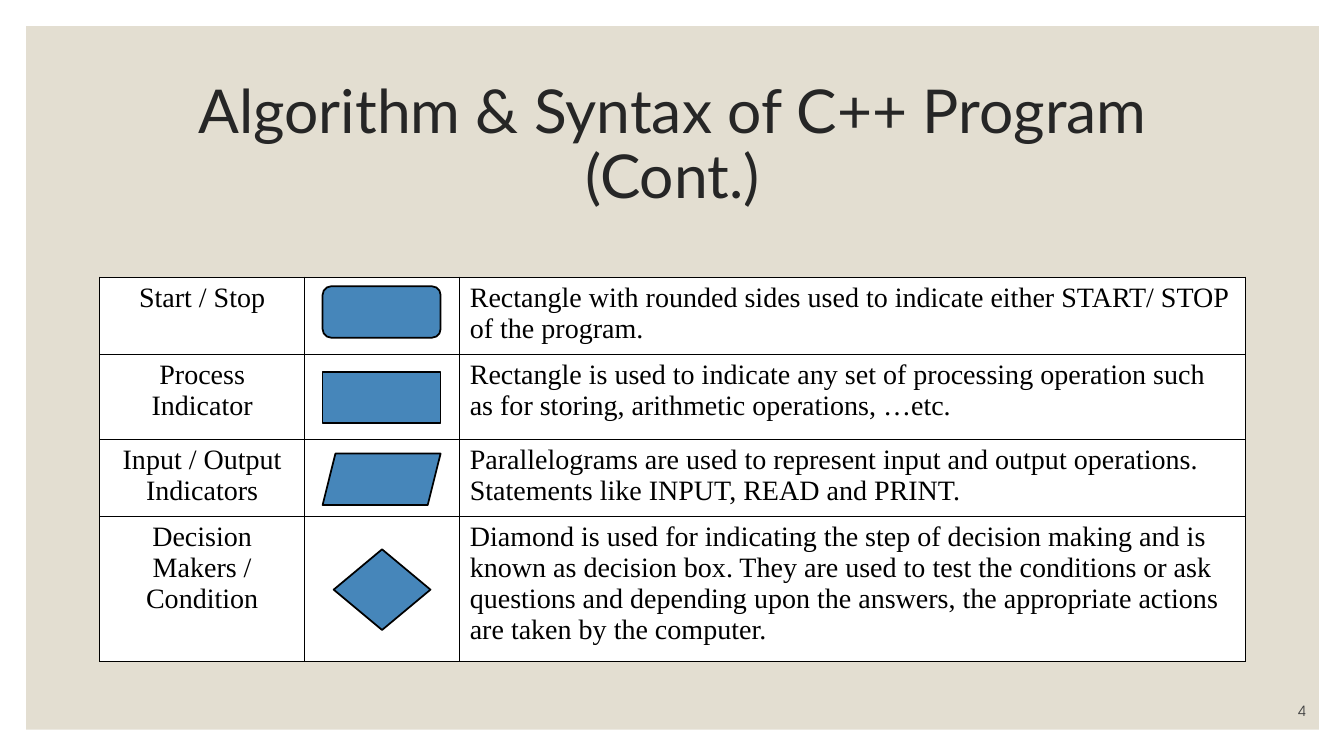
"""Build the slide that explains the flowchart symbols."""
from lxml import etree
from pptx import Presentation
from pptx.dml.color import RGBColor
from pptx.enum.shapes import MSO_SHAPE
from pptx.enum.text import MSO_ANCHOR, PP_ALIGN
from pptx.oxml.ns import qn
from pptx.util import Inches, Pt

LEFT, CENTER, RIGHT = PP_ALIGN.LEFT, PP_ALIGN.CENTER, PP_ALIGN.RIGHT
MIDDLE = MSO_ANCHOR.MIDDLE
RECT, ROUNDED = MSO_SHAPE.RECTANGLE, MSO_SHAPE.ROUNDED_RECTANGLE
PARALLELOGRAM, DIAMOND = MSO_SHAPE.PARALLELOGRAM, MSO_SHAPE.DIAMOND

COLORS = {"panel": "E3DED1", "title": "262626", "number": "404040",
          "symbol": "4686BA", "black": "000000", "white": "FFFFFF"}
FORMATS = {
    "title": {"name": "Lato", "size": Pt(43.2)},
    "number": {"name": "TeX Gyre Adventor", "size": Pt(10)},
    "black": {"name": "Times New Roman", "size": Pt(20)},
}
COLUMNS = [2.03, 1.54, 7.79]
ROWS = [
    (0.71, "Start / Stop",
     "Rectangle with rounded sides used to indicate either START/ STOP of the program."),
    (0.84, "Process Indicator",
     "Rectangle is used to indicate any set of processing operation such as for "
     "storing, arithmetic operations, …etc."),
    (0.71, "Input / Output\nIndicators",
     "Parallelograms are used to represent input and output operations.\n"
     "Statements like INPUT, READ and PRINT."),
    (1.33, "Decision Makers /\nCondition",
     "Diamond is used for indicating the step of decision making and is known as "
     "decision box. They are used to test the conditions or ask questions and "
     "depending upon the answers, the appropriate actions are taken by the computer."),
]
SYMBOLS = [
    (ROUNDED, 3.2, 2.84, 1.17, 0.51),
    (RECT, 3.2, 3.69, 1.17, 0.51),
    (PARALLELOGRAM, 3.2, 4.5, 1.17, 0.51),
    (DIAMOND, 3.31, 5.45, 0.96, 0.8),
]


def rgb(color):
    return RGBColor.from_string(COLORS[color])


class SlideBuilder:
    def __init__(self, prs):
        self.s = prs.slides.add_slide(prs.slide_layouts[6])

    def fill_text(self, tf, text, style, align, spacing=None):
        tf.text = text
        for p in tf.paragraphs:
            p.alignment, p.line_spacing = align, spacing
            for r in p.runs:
                for name, value in FORMATS[style].items():
                    setattr(r.font, name, value)
                r.font.color.rgb = rgb(style)

    def text(self, box, text, style, align, spacing=None):
        tf = self.s.shapes.add_textbox(*map(Inches, box)).text_frame
        for name, value in {"word_wrap": True, "vertical_anchor": MIDDLE}.items():
            setattr(tf, name, value)
        self.fill_text(tf, text, style, align, spacing)

    def shape(self, kind, box, fill, line=None):
        sp = self.s.shapes.add_shape(kind, *map(Inches, box))
        sp.shadow.inherit = False
        sp.fill.solid()
        sp.fill.fore_color.rgb = rgb(fill)
        if line:
            sp.line.color.rgb = rgb(line)
            sp.line.width = Pt(1.25)
        else:
            sp.line.fill.background()

    def style_cell(self, cell):
        props = cell._tc.get_or_add_tcPr()
        for side in ("lnL", "lnR", "lnT", "lnB"):
            ln = etree.SubElement(props, qn(f"a:{side}"), w=str(Pt(1)))
            fill = etree.SubElement(ln, qn("a:solidFill"))
            etree.SubElement(fill, qn("a:srgbClr"), val=COLORS["black"])
        cell.fill.solid()
        cell.fill.fore_color.rgb = rgb("white")

    def table(self, left, top, columns, rows):
        box = left, top, sum(columns), sum(row[0] for row in rows)
        frame = self.s.shapes.add_table(len(rows), len(columns), *map(Inches, box))
        table = frame.table
        for column, width in zip(table.columns, columns):
            column.width = Inches(width)
        for row, (height, label, meaning) in zip(table.rows, rows):
            row.height = Inches(height)
            for cell in row.cells:
                self.style_cell(cell)
            label_cell, _, meaning_cell = row.cells
            self.fill_text(label_cell.text_frame, label, "black", CENTER)
            self.fill_text(meaning_cell.text_frame, meaning, "black", LEFT)


def main():
    prs = Presentation()
    prs.slide_width, prs.slide_height = Inches(13.33), Inches(7.5)
    slide = SlideBuilder(prs)
    slide.shape(RECT, (0.26, 0.26, 12.82, 6.98), "panel")
    slide.text((1.17, 0.7, 11, 1.5), "Algorithm & Syntax of C++ Program (Cont.)",
               "title", CENTER, 0.9)
    slide.text((11.45, 6.9, 1.6, 0.3), "4", "number", RIGHT)
    slide.table(0.99, 2.75, COLUMNS, ROWS)
    for kind, *box in SYMBOLS:
        slide.shape(kind, box, "symbol", "black")
    prs.save("out.pptx")


if __name__ == "__main__":
    main()
